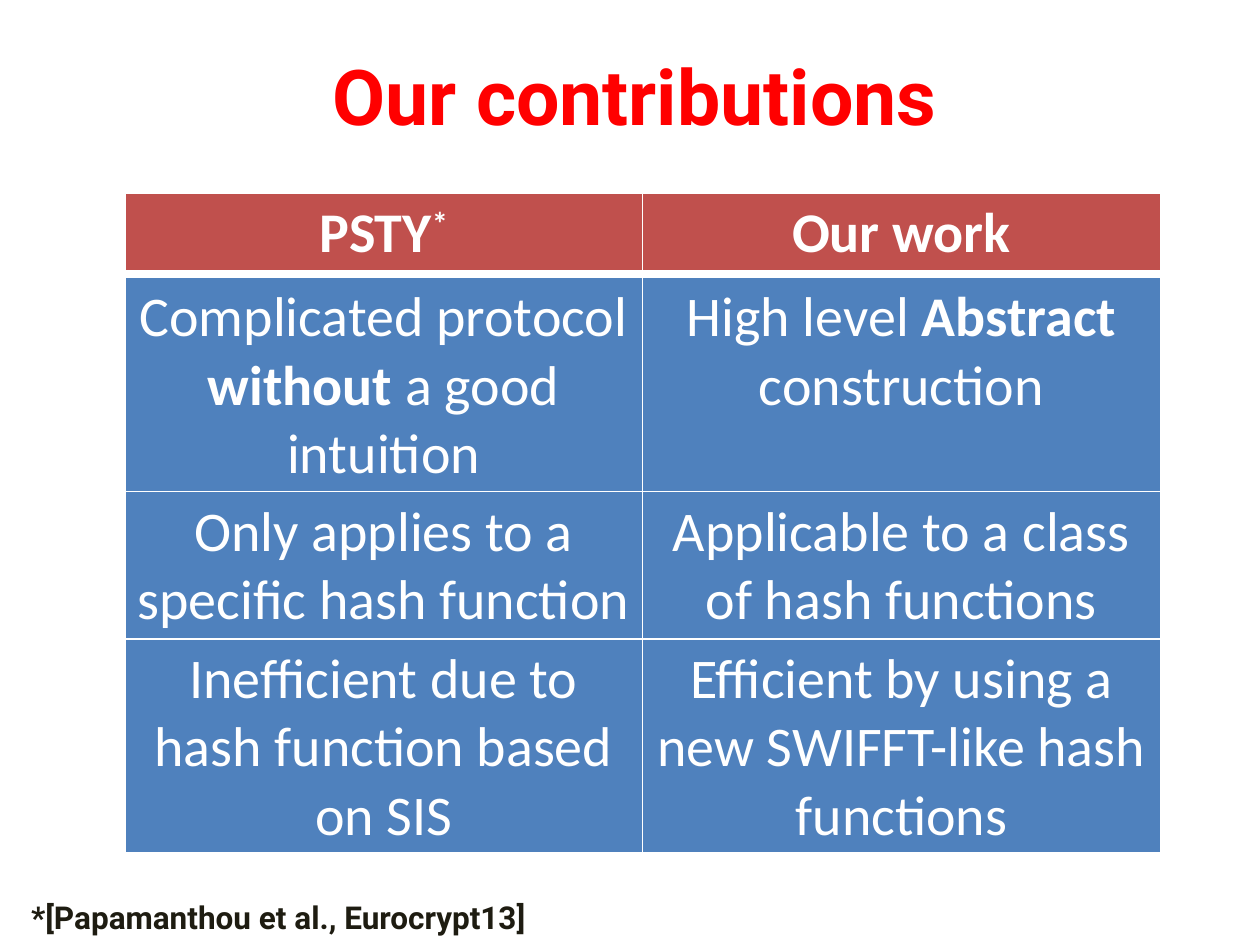
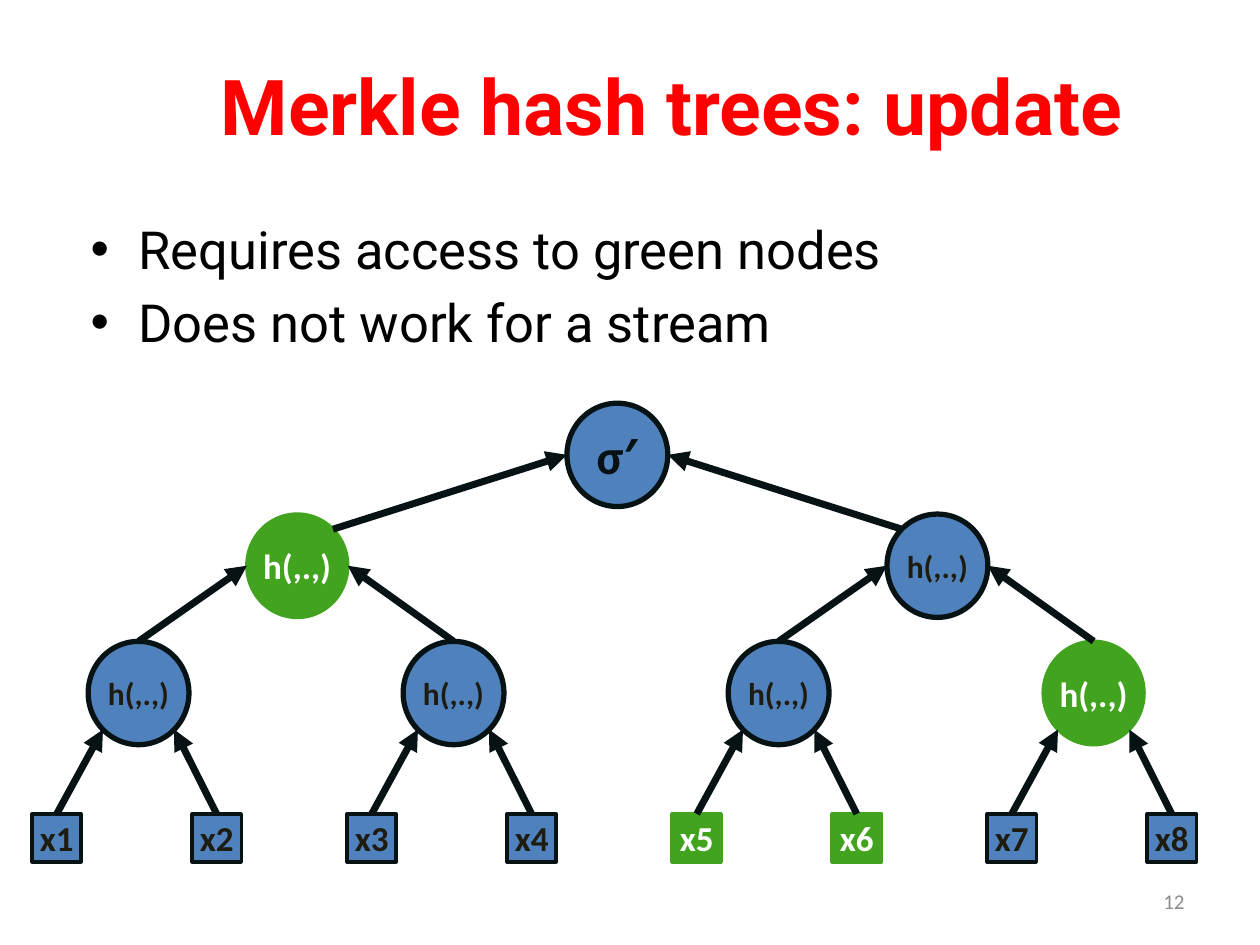
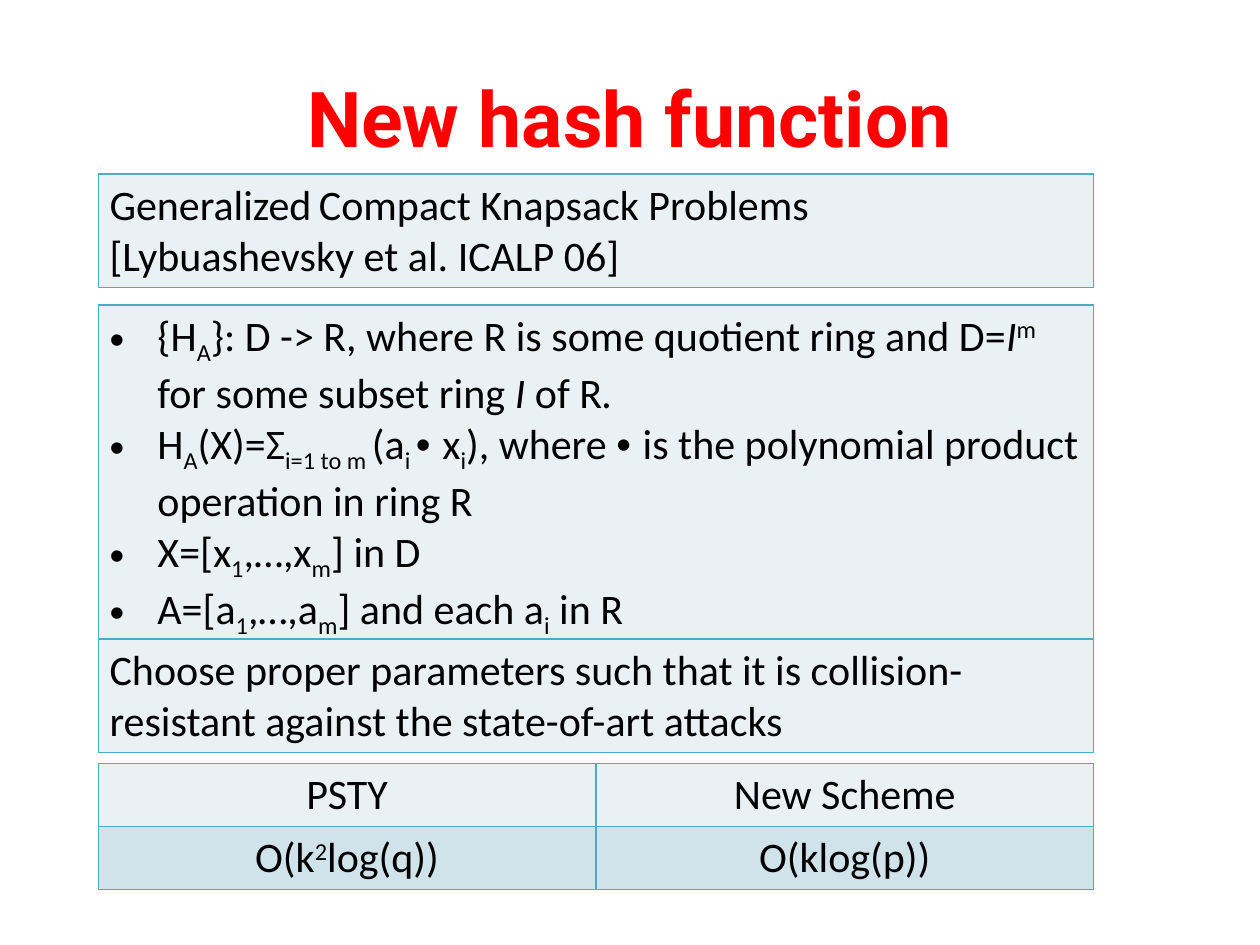
"""Build three slides on streaming authenticated data structures."""
import math

import lxml.etree
import pptx
import pptx.dml.color
import pptx.enum.shapes
import pptx.enum.text
import pptx.oxml
import pptx.oxml.ns
import pptx.util

Inches, Pt = pptx.util.Inches, pptx.util.Pt
RGBColor = pptx.dml.color.RGBColor
ALIGN = pptx.enum.text.PP_ALIGN
MIDDLE = pptx.enum.text.MSO_ANCHOR.MIDDLE
SHAPE = pptx.enum.shapes.MSO_SHAPE
STRAIGHT = pptx.enum.shapes.MSO_CONNECTOR.STRAIGHT
qn = pptx.oxml.ns.qn

BLACK, WHITE = RGBColor(0, 0, 0), RGBColor(255, 255, 255)
RED = RGBColor(0xFF, 0x00, 0x00)
BRICK = RGBColor(0xC0, 0x50, 0x4D)
BLUE = RGBColor(0x4F, 0x81, 0xBD)
GREEN = RGBColor(0x42, 0xA3, 0x1F)
INK = RGBColor(0x07, 0x12, 0x15)
BROWN = RGBColor(0x1E, 0x1C, 0x11)
GRAY = RGBColor(0x8C, 0x8C, 0x8C)
TEAL = RGBColor(0x4B, 0xAC, 0xC6)
PALE = RGBColor(0xE9, 0xF1, 0xF5)
PALE_DARK = RGBColor(0xD0, 0xE3, 0xEA)
HEADING, BODY = "Roboto", "Calibri"
BASELINES = {"sub": "-25000", "sup": "30000"}
BORDER_SIDES = ("L", "R", "T", "B")
CELL_MARGIN = 0.09

TITLES = [
    ("Our contributions", (0.08, 0.25, 9.92, 1)),
    ("Merkle hash trees: update", (0.67, 0.33, 9.33, 1)),
    ("New hash function", (0.5, 0.3, 9, 1.25)),
]

COMPARISON = [
    (1.53, 0.63, BRICK, [("PSTY", "b"), ("*", "b sup")], [("Our work", "b")]),
    (2.2, 1.7, BLUE,
     ["Complicated protocol ", ("without", "b"), " a good intuition"],
     ["High level ", ("Abstract", "b"), " construction"]),
    (3.9, 1.17, BLUE,
     ["Only applies to a specific hash function"],
     ["Applicable to a class of hash functions"]),
    (5.07, 1.7, BLUE,
     ["Inefficient due to hash function based on SIS"],
     ["Efficient by using a new SWIFFT-like hash functions"]),
]
CITATION = "*[Papamanthou et al., Eurocrypt13]"

UPDATE_POINTS = [["Requires access to green nodes"], ["Does not work for a stream"]]
ROOT_LABEL, HASH_LABEL = "σ′", "h(,.,)"
GREEN_LEAVES, GREEN_PAIRS, GREEN_HALVES = {5, 6}, {3}, {0}

PROBLEM = [
    ["Generalized", (" ", "small"), "Compact Knapsack Problems "],
    ["[Lybuashevsky et al. ICALP 06]"],
]
DEFINITION = [
    ["{H", ("A", "sub"), "}: D -> R, where R is some quotient ring and D=",
     ("I", "i"), ("m ", "sup"), "for some subset ring ", ("I ", "i"), "of R",
     (".", "i")],
    ["H", ("A", "sub"), "(X)=Σ", ("i=1 to m ", "sub"), "(a", ("i ", "sub"),
     ("• ", "arial"), "x", ("i", "sub"), "), where ", ("• ", "arial"),
     "is the polynomial product operation in ring R"],
    ["X=[x", ("1", "sub"), ",…,x", ("m", "sub"), "] in D"],
    ["A=[a", ("1", "sub"), ",…,a", ("m", "sub"), "] and each a", ("i", "sub"),
     " in R"],
]
CHOICE = [["Choose proper parameters such that it is collision-resistant "
           "against the state-of-art attacks"]]
COSTS = [
    [[["PSTY"]], [["New Scheme"]]],
    [[["O(k", ("2", "sup"), "log(q))"]], [["O(klog(p))"]]],
]


def add_bullet(paragraph):
    properties = paragraph._p.get_or_add_pPr()
    properties.set("marL", str(Inches(0.38)))
    properties.set("indent", str(-Inches(0.38)))
    font = lxml.etree.SubElement(properties, qn("a:buFont"))
    font.set("typeface", "Arial")
    lxml.etree.SubElement(properties, qn("a:buChar")).set("char", "•")


def write(frame, paragraphs, size, color, font=BODY, bold=False,
          align=ALIGN.LEFT, bullets=False, space_before=0):
    for index, pieces in enumerate(paragraphs):
        paragraph = frame.add_paragraph() if index else frame.paragraphs[0]
        paragraph.alignment = align
        paragraph.space_before = Pt(space_before)
        if bullets:
            add_bullet(paragraph)
        for piece in pieces:
            text, style = (piece, "") if isinstance(piece, str) else piece
            styles = style.split()
            run = paragraph.add_run()
            run.text = text
            run.font.name = "Arial" if "arial" in styles else font
            run.font.size = Pt(18 if "small" in styles else size)
            run.font.color.rgb = color
            run.font.bold = bold or "b" in styles
            run.font.italic = "i" in styles
            for name in BASELINES.keys() & set(styles):
                run._r.get_or_add_rPr().set("baseline", BASELINES[name])


def add_text(slide, box, paragraphs, size, color, anchor=None, **options):
    frame = slide.shapes.add_textbox(*map(Inches, box)).text_frame
    frame.word_wrap = True
    if anchor is not None:
        frame.vertical_anchor = anchor
    write(frame, paragraphs, size, color, **options)


def set_borders(cell, color, widths):
    properties = cell._tc.get_or_add_tcPr()
    for index, (side, width) in enumerate(zip(BORDER_SIDES, widths)):
        line = pptx.oxml.parse_xml(
            '<a:ln%s xmlns:a="http://schemas.openxmlformats.org/drawingml/2006/main"'
            ' w="%d"><a:solidFill><a:srgbClr val="%s"/></a:solidFill></a:ln%s>'
            % (side, Pt(width), color, side))
        properties.insert(index, line)


def add_table(slide, box, rows, fills, size, color, border, widths, **options):
    shape = slide.shapes.add_table(len(rows), len(rows[0]), *map(Inches, box))
    table = shape.table
    table.first_row = table.horz_banding = False
    for row_index, (row, fill) in enumerate(zip(rows, fills)):
        for column_index, paragraphs in enumerate(row):
            cell = table.cell(row_index, column_index)
            cell.margin_left = cell.margin_right = Inches(CELL_MARGIN)
            cell.fill.solid()
            cell.fill.fore_color.rgb = fill
            set_borders(cell, border, widths)
            write(cell.text_frame, paragraphs, size, color, **options)


def add_node(slide, kind, center, size, label, green=False, font_size=20,
             color=BROWN, outline=2):
    left, top = (middle - length / 2 for middle, length in zip(center, size))
    shape = slide.shapes.add_shape(kind, *map(Inches, (left, top, *size)))
    shape.shadow.inherit = False
    shape.fill.solid()
    shape.fill.fore_color.rgb = GREEN if green else BLUE
    shape.line.color.rgb = GREEN if green else INK
    shape.line.width = Pt(outline)
    frame = shape.text_frame
    frame.word_wrap = False
    frame.vertical_anchor = MIDDLE
    write(frame, [[label]], font_size, WHITE if green else color, bold=True,
          align=ALIGN.CENTER)


def add_hash(slide, center, green):
    add_node(slide, SHAPE.OVAL, center, CIRCLE, HASH_LABEL, green,
             20 if green else 18, outline=2 if green else 3)


def add_arrow(slide, start, end):
    arrow = slide.shapes.add_connector(STRAIGHT, *map(Inches, (*start, *end)))
    arrow.line.color.rgb = INK
    arrow.line.width = Pt(4)
    tail = lxml.etree.SubElement(arrow.line._get_or_add_ln(), qn("a:tailEnd"))
    tail.set("type", "triangle")
    lxml.etree.SubElement(arrow._element.spPr, qn("a:effectLst"))


def rim(center, degrees):
    angle = math.radians(degrees)
    return (center[0] + CIRCLE[0] / 2 * math.cos(angle),
            center[1] + CIRCLE[1] / 2 * math.sin(angle))


CIRCLE, SQUARE = (0.8, 0.82), (0.39, 0.38)
ROOT = (4.9, 3.61)
HALF_X, HALF_Y, HALF_STEP = 2.36, 4.49, 5.08
PAIR_X, PAIR_Y, PAIR_STEP = 1.1, 5.5, 2.5
LEAF_OFFSETS, LEAF_Y = (-0.65, 0.62), 6.65


def add_tree(slide):
    add_node(slide, SHAPE.OVAL, ROOT, CIRCLE, ROOT_LABEL, font_size=28,
             color=INK, outline=3)
    for half in range(2):
        parent = (HALF_X + half * HALF_STEP, HALF_Y)
        add_hash(slide, parent, half in GREEN_HALVES)
        add_arrow(slide, rim(parent, (-45, -135)[half]), rim(ROOT, (180, 0)[half]))
        for side in range(2):
            pair = 2 * half + side
            center = (PAIR_X + half * HALF_STEP + side * PAIR_STEP, PAIR_Y)
            add_hash(slide, center, pair in GREEN_PAIRS)
            add_arrow(slide, rim(center, -90), rim(parent, (180, 0)[side]))
            for child, offset in enumerate(LEAF_OFFSETS):
                number = 2 * pair + child + 1
                leaf = (center[0] + offset, LEAF_Y)
                add_node(slide, SHAPE.RECTANGLE, leaf, SQUARE, f"x{number}",
                         number in GREEN_LEAVES)
                add_arrow(slide, (leaf[0], LEAF_Y - SQUARE[1] / 2),
                          rim(center, (135, 45)[child]))


presentation = pptx.Presentation()
presentation.slide_width, presentation.slide_height = Inches(10), Inches(7.5)
slides = []
for title, box in TITLES:
    slide = presentation.slides.add_slide(presentation.slide_layouts[6])
    add_text(slide, box, [[title]], 44, RED, MIDDLE, font=HEADING, bold=True,
             align=ALIGN.CENTER)
    slides.append(slide)
contributions, merkle, hashing = slides

for top, height, fill, theirs, ours in COMPARISON:
    add_table(contributions, (0.99, top, 8.22, height), [[[theirs], [ours]]],
              [fill], 32, WHITE, WHITE, (1, 1, 1, 3 if fill == BRICK else 1),
              align=ALIGN.CENTER)
add_text(contributions, (0.01, 7.08, 4.4, 0.4), [[CITATION]], 18, BROWN,
         font=HEADING, bold=True, align=ALIGN.CENTER)

add_text(merkle, (0.62, 1.67, 9.22, 1.17), UPDATE_POINTS, 30, BLACK,
         font=HEADING, bullets=True, space_before=6)
add_tree(merkle)
add_text(merkle, (7.17, 6.95, 2.33, 0.4), [["12"]], 12, GRAY, MIDDLE,
         align=ALIGN.RIGHT)

for top, height, rows, options in [
    (1.38, 0.9, [[PROBLEM]], {}),
    (2.42, 2.5, [[DEFINITION]], {"bullets": True}),
    (5.07, 0.9, [[CHOICE]], {}),
    (6.06, 1, COSTS, {"align": ALIGN.CENTER}),
]:
    add_table(hashing, (0.78, top, 7.9, height), rows, (PALE, PALE_DARK), 24,
              BLACK, TEAL, (1, 1, 1, 1), **options)

presentation.save("out.pptx")
